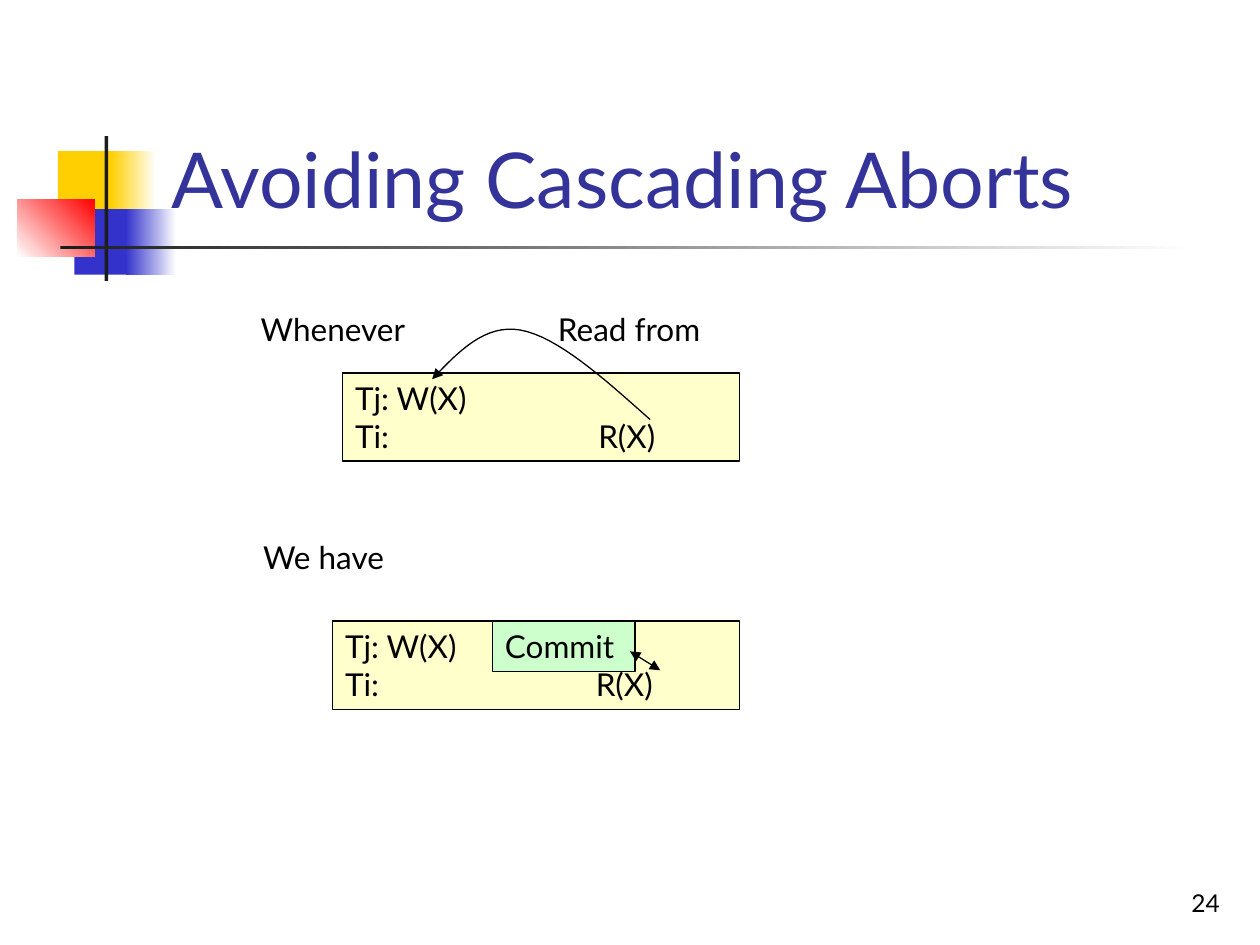
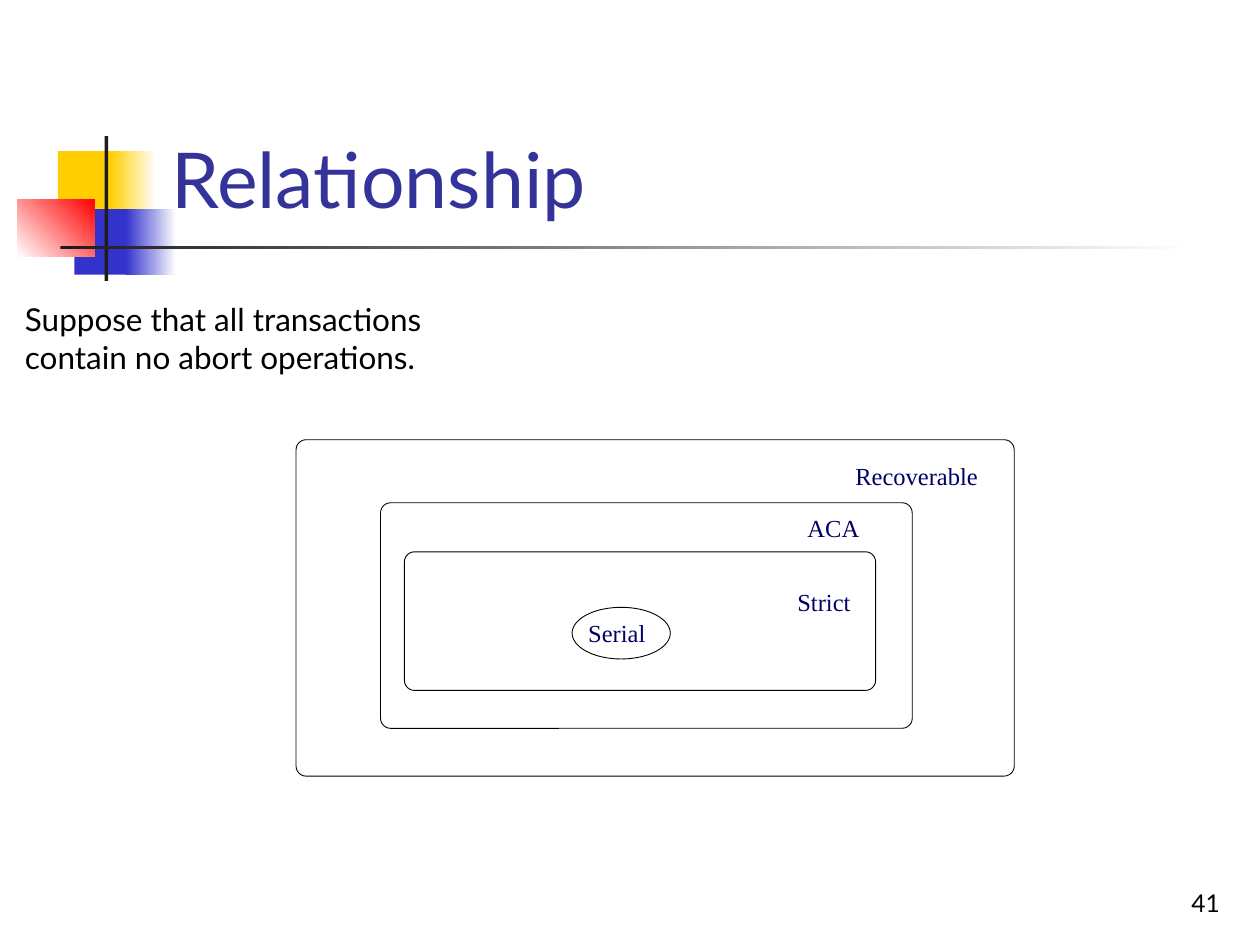
"""Builds two slides on cascading aborts and classes of schedules."""
from lxml import etree
from pptx import Presentation
from pptx.dml.color import RGBColor
from pptx.enum.shapes import MSO_CONNECTOR, MSO_SHAPE
from pptx.enum.text import MSO_ANCHOR, MSO_AUTO_SIZE, PP_ALIGN
from pptx.oxml.ns import qn
from pptx.util import Pt

PX = 9144
RECT, OVAL = MSO_SHAPE.RECTANGLE, MSO_SHAPE.OVAL
ROUND = MSO_SHAPE.ROUNDED_RECTANGLE
STRAIGHT = MSO_CONNECTOR.STRAIGHT
TOP, BOTTOM = MSO_ANCHOR.TOP, MSO_ANCHOR.BOTTOM
LEFT, RIGHT = PP_ALIGN.LEFT, PP_ALIGN.RIGHT
FIXED = MSO_AUTO_SIZE.NONE
SANS, SERIF = "Lato", "Times New Roman"
INK = {
    "black": "000000", "white": "FFFFFF", "coal": "1C1C1C",
    "gold": "FFCF01", "blue": "3333CC", "red": "FF0000",
    "title": "333399", "navy": "000066",
    "cream": "FFFFCC", "mint": "CCFFCC",
}
DECOR = [
    ((46, 120, 48, 52), ["gold"], 0),
    ((88, 120, 36, 52), ["gold", "white"], 0),
    ((59, 166, 46, 52), ["blue"], 0),
    ((100, 166, 40, 52), ["blue", "white"], 0),
    ((14, 158, 61, 46), ["white", "red"], 45),
    ((83, 108, 3, 115), ["coal"], 0),
    ((48, 195, 900, 3), ["coal", "white"], 0),
]


def emu(*nums):
    return [round(n * PX) for n in nums]


def ink(name):
    return RGBColor.from_string(INK[name])


class Deck:
    def __init__(self):
        self.prs = Presentation()
        self.prs.slide_width, self.prs.slide_height = emu(1000, 750)
        self.slide = None

    def start(self, title, page):
        self.slide = self.prs.slides.add_slide(self.prs.slide_layouts[5])
        for place, fills, angle in DECOR:
            self.shape(place, fills, angle=angle)
        head = self.slide.shapes.title
        head.left, head.top, head.width, head.height = emu(126, 23, 852, 160)
        self.text(head, [title], 44, hue="title", anchor=BOTTOM)
        self.label((770, 683, 208, 50), [page], 14, align=RIGHT,
                   anchor=BOTTOM, wrap=True)

    def text(self, shape, lines, size=18, font=SANS, hue="black",
             align=LEFT, anchor=TOP, wrap=True, tab=0):
        frame = shape.text_frame
        frame.text = "\n".join(lines)
        frame.word_wrap = wrap
        frame.auto_size = FIXED
        frame.vertical_anchor = anchor
        for para in frame.paragraphs:
            para.alignment = align
            if tab:
                stops = etree.SubElement(para._p.get_or_add_pPr(), qn("a:tabLst"))
                etree.SubElement(stops, qn("a:tab"), pos=str(tab * PX), algn="l")
            para.font.size = Pt(size)
            para.font.name = font
            para.font.color.rgb = ink(hue)

    def label(self, place, lines, size=18, wrap=False, **style):
        box = self.slide.shapes.add_textbox(*emu(*place))
        self.text(box, lines, size, wrap=wrap, **style)

    def stroke(self, shape, width):
        shape.line.color.rgb = ink("black")
        shape.line.width = Pt(width)

    def shape(self, place, fills=(), line=0, kind=RECT, angle=0):
        item = self.slide.shapes.add_shape(kind, *emu(*place))
        item.shadow.inherit = False
        if not fills:
            item.fill.background()
        elif len(fills) == 1:
            item.fill.solid()
            item.fill.fore_color.rgb = ink(fills[0])
        else:
            item.fill.gradient()
            item.fill.gradient_angle = angle
            for stop, hue in zip(item.fill.gradient_stops, fills):
                stop.color.rgb = ink(hue)
        if line:
            self.stroke(item, line)
        else:
            item.line.fill.background()
        return item

    def box(self, place, hue, lines, **style):
        self.text(self.shape(place, [hue], 0.75), lines, **style)

    def frame(self, place, radius=8):
        item = self.shape(place, line=0.5, kind=ROUND)
        item.adjustments[0] = radius / min(place[2:])

    def tips(self, item, *ends):
        for end in ends:
            etree.SubElement(item.line._get_or_add_ln(), qn(f"a:{end}"), type="triangle")

    def curve(self, curves, steps=16):
        dots = [emu(*curves[0][0])]
        for knots in curves:
            for step in range(1, steps + 1):
                t = step / steps
                parts = ((1 - t) ** 3, 3 * t * (1 - t) ** 2,
                         3 * t * t * (1 - t), t ** 3)
                dots.append(emu(*(sum(w * v for w, v in zip(parts, axis))
                                  for axis in zip(*knots))))
        trace = self.slide.shapes.build_freeform(*dots[0])
        trace.add_line_segments(dots[1:], close=False)
        item = trace.convert_to_shape()
        item.shadow.inherit = False
        item.fill.background()
        self.stroke(item, 0.75)
        self.tips(item, "tailEnd")

    def arrow(self, *ends):
        item = self.slide.shapes.add_connector(STRAIGHT, *emu(*ends))
        self.stroke(item, 0.75)
        self.tips(item, "headEnd", "tailEnd")
        etree.SubElement(item._element.spPr, qn("a:effectLst"))


def aborts(deck):
    deck.start("Avoiding Cascading Aborts", "24")
    steps = ["Tj: W(X)", "Ti:\tR(X)"]
    deck.box((272, 296, 315, 70), "cream", steps, tab=193)
    deck.label((197, 241, 139, 40), ["Whenever"])
    deck.curve([
        [(516, 333), (479, 300), (442, 267), (413, 262)],
        [(413, 262), (385, 257), (364, 279), (343, 301)],
    ])
    deck.label((433, 241, 143, 40), ["Read from"])
    deck.label((199, 422, 120, 40), ["We have"])
    deck.box((264, 493, 323, 70), "cream", steps, tab=199)
    deck.box((391, 493, 113, 40), "mint", ["Commit"], wrap=False)
    deck.arrow(500, 517, 524, 532)


def classes(deck):
    deck.start("Relationship", "41")
    deck.shape((454, 482, 78, 41), line=0.5, kind=OVAL)
    for place in ((302, 399, 422, 179), (235, 349, 570, 267), (321, 438, 374, 110)):
        deck.frame(place)
    for name, left, top, width in (
        ("Recoverable", 669, 361, 117),
        ("ACA", 631, 402, 61),
        ("Strict", 623, 461, 62),
        ("Serial", 457, 486, 65),
    ):
        deck.label((left, top, width, 34), [name], 14, font=SERIF, hue="navy")
    deck.label((10, 233, 366, 70),
               ["Suppose that all transactions", "contain no abort operations."])


def main():
    deck = Deck()
    aborts(deck)
    classes(deck)
    deck.prs.save("out.pptx")


if __name__ == "__main__":
    main()
